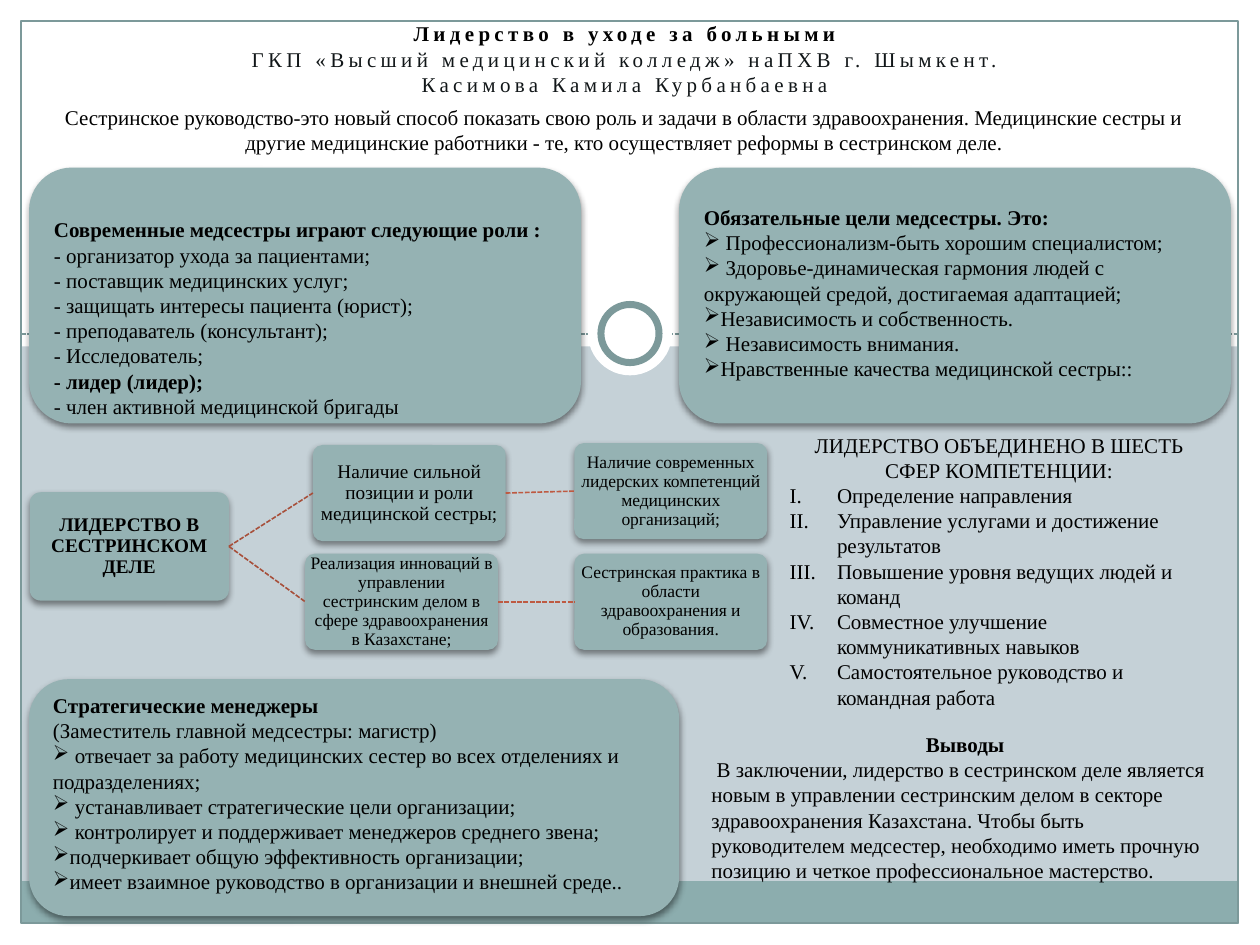
from lxml import etree
from pptx import Presentation
from pptx.dml.color import RGBColor
from pptx.enum.dml import MSO_LINE
from pptx.enum.shapes import MSO_CONNECTOR, MSO_SHAPE
from pptx.enum.text import MSO_ANCHOR, PP_ALIGN
from pptx.oxml.ns import qn
from pptx.util import Pt

RECT, ROUND, OVAL = MSO_SHAPE.RECTANGLE, MSO_SHAPE.ROUNDED_RECTANGLE, MSO_SHAPE.OVAL
STRAIGHT, DASH = MSO_CONNECTOR.STRAIGHT, MSO_LINE.SQUARE_DOT
TOP, MIDDLE = MSO_ANCHOR.TOP, MSO_ANCHOR.MIDDLE
LEFT, CENTER = PP_ALIGN.LEFT, PP_ALIGN.CENTER
FONT = "Times New Roman"
COLORS = {"back": "C5D1D7", "white": "FFFFFF", "band": "8CADAE", "frame": "7C999A",
          "card": "95B2B3", "text": "000000", "subtitle": "111618",
          "branch": "A74F3A", "link": "BE5A42"}
C = {name: RGBColor.from_string(value) for name, value in COLORS.items()}

prs = Presentation()
prs.slide_width, prs.slide_height = Pt(720), Pt(540)
s = prs.slides.add_slide(prs.slide_layouts[6])
s.background.fill.solid()
s.background.fill.fore_color.rgb = C["back"]


def add_shape(kind, box, fill=None, line=None, width=0.75, shadow=False):
    sp = s.shapes.add_shape(kind, *[Pt(v) for v in box])
    if fill:
        sp.fill.solid()
        sp.fill.fore_color.rgb = C[fill]
    else:
        sp.fill.background()
    if line:
        sp.line.color.rgb = C[line]
        sp.line.width = Pt(width)
    else:
        sp.line.fill.background()
    sp.shadow.inherit = False
    if shadow:
        effects = sp._element.spPr.find(qn("a:effectLst"))
        outer = etree.SubElement(effects, qn("a:outerShdw"), blurRad=str(Pt(4)),
                                 dist=str(Pt(2)), dir="5400000", rotWithShape="0")
        color = etree.SubElement(outer, qn("a:srgbClr"), val=COLORS["text"])
        etree.SubElement(color, qn("a:alpha"), val="45000")
    return sp


def write(sp, paragraphs, size=12, anchor=MIDDLE, margins=(7.2, 3.6, 7.2, 3.6), spacing=None):
    """Each paragraph is (text, marks): b bold, c centred, > arrow bullet, # roman number."""
    tf = sp.text_frame
    tf.word_wrap = True
    tf.vertical_anchor = anchor
    tf.margin_left, tf.margin_top, tf.margin_right, tf.margin_bottom = [Pt(m) for m in margins]
    for i, (text, marks) in enumerate(paragraphs):
        p = tf.add_paragraph() if i else tf.paragraphs[0]
        p.text = text
        p.alignment = CENTER if "c" in marks else LEFT
        if spacing:
            p.line_spacing = spacing
        font = p.runs[0].font
        font.name, font.size, font.bold = FONT, Pt(size), "b" in marks
        font.color.rgb = C["text"]
        pPr = p._p.get_or_add_pPr()
        if ">" in marks:
            etree.SubElement(pPr, qn("a:buFont"), typeface="Wingdings")
            etree.SubElement(pPr, qn("a:buChar"), char="Ø")
        if "#" in marks:
            pPr.set("marL", str(Pt(27)))
            pPr.set("indent", str(Pt(-27)))
            etree.SubElement(pPr, qn("a:buFont"), typeface="+mj-lt")
            etree.SubElement(pPr, qn("a:buAutoNum"), type="romanUcPeriod")


# White margins, bottom band, divider, frame and ring
for box in [(0, 528, 720, 12), (708, 0, 12, 540), (0, 0, 12, 540), (0, 0, 720, 198)]:
    add_shape(RECT, box, "white")
add_shape(RECT, (12, 503.5, 695.5, 24.5), "band")
divider = s.shapes.add_connector(STRAIGHT, Pt(12), Pt(190.8), Pt(708), Pt(190.8))
connectors = [(divider, "frame")]
add_shape(RECT, (12, 12, 695.5, 515.5), line="frame")
add_shape(OVAL, (336, 166.5, 48, 48), "white")
add_shape(OVAL, (343.4, 174, 33.2, 33.2), "white", "frame", 4)

# Text boxes: title, introduction, conclusions, competences
title_margins = (7.2, 12, 7.2, 0)
plain = (7.2, 3.6, 7.2, 3.6)
text_boxes = [
    ((28, 0, 658, 62), TOP, title_margins, [
        ("Лидерство в уходе за больными", "bc"),
        ("ГКП «Высший медицинский колледж» наПХВ г. Шымкент.", "c"),
        ("Касимова Камила Курбанбаевна", "c")]),
    ((16.5, 56.2, 680.5, 36), TOP, plain, [
        ("Сестринское руководство-это новый способ показать свою роль и задачи в области "
         "здравоохранения. Медицинские сестры и другие медицинские работники - те, кто "
         "осуществляет реформы в сестринском деле.", "c")]),
    ((399.5, 414, 304, 94.3), MIDDLE, plain, [
        ("Выводы", "bc"),
        (" В заключении, лидерство в сестринском деле является новым в управлении "
         "сестринским делом в секторе здравоохранения Казахстана. Чтобы быть руководителем "
         "медсестер, необходимо иметь прочную позицию и четкое профессиональное "
         "мастерство.", "")]),
    ((444.2, 242.6, 253.5, 167), MIDDLE, plain, [
        ("ЛИДЕРСТВО ОБЪЕДИНЕНО В ШЕСТЬ СФЕР КОМПЕТЕНЦИИ:", "c"),
        ("Определение направления", "#"),
        ("Управление услугами и достижение результатов", "#"),
        ("Повышение уровня ведущих людей и команд", "#"),
        ("Совместное улучшение коммуникативных навыков", "#"),
        ("Самостоятельное руководство и командная работа", "#")]),
]
boxes = []
for box, anchor, margins, paragraphs in text_boxes:
    tb = s.shapes.add_textbox(*[Pt(v) for v in box])
    write(tb, paragraphs, anchor=anchor, margins=margins)
    boxes.append(tb)
for i, p in enumerate(boxes[0].text_frame.paragraphs):
    for r in p.runs:
        r._r.get_or_add_rPr().set("spc", "250")
        r.font.color.rgb = C["subtitle" if i else "text"]

# Large cards: box, top margin, paragraphs
cards = [
    ((16.6, 95.8, 315.4, 146.2), 21, [
        ("Современные медсестры играют следующие роли :", "b"),
        ("- организатор ухода за пациентами;", ""),
        ("- поставщик медицинских услуг;", ""),
        ("- защищать интересы пациента (юрист);", ""),
        ("- преподаватель (консультант);", ""),
        ("- Исследователь;", ""),
        ("- лидер (лидер);", "b"),
        ("- член активной медицинской бригады", "")]),
    ((388, 95.8, 315.4, 146.2), 14, [
        ("Обязательные цели медсестры. Это:", "b"),
        (" Профессионализм-быть хорошим специалистом;", ">"),
        (" Здоровье-динамическая гармония людей с окружающей средой, "
         "достигаемая адаптацией;", ">"),
        ("Независимость и собственность. ", ">"),
        (" Независимость внимания.", ">"),
        ("Нравственные качества медицинской сестры::", ">")]),
    ((16.6, 388.1, 371.5, 135.4), 1, [
        ("Стратегические менеджеры", "b"),
        ("(Заместитель главной медсестры: магистр)", ""),
        (" отвечает за работу медицинских сестер во всех отделениях и подразделениях;", ">"),
        (" устанавливает стратегические цели организации;", ">"),
        (" контролирует и поддерживает менеджеров среднего звена;", ">"),
        ("подчеркивает общую эффективность организации;", ">"),
        ("имеет взаимное руководство в организации и внешней среде..", ">")]),
]
for box, top, paragraphs in cards:
    card = add_shape(ROUND, box, "card", shadow=True)
    write(card, paragraphs, anchor=TOP, margins=(7.2, top, 7.2, 0))

# Leadership tree
W, H = 110.2, 54.9
tree = [
    ((17, 281.3, 113.8, 61.9), 11, "bc", "ЛИДЕРСТВО В СЕСТРИНСКОМ ДЕЛЕ"),
    ((178.8, 254.3, W, H), 11, "c", "Наличие сильной позиции и роли медицинской сестры;"),
    ((328.2, 253.2, W, H), 10, "c",
     "Наличие современных лидерских компетенций медицинских организаций;"),
    ((174.4, 316.4, W, H), 10, "c",
     "Реализация инноваций в управлении сестринским делом в сфере здравоохранения "
     "в Казахстане;"),
    ((328.2, 316.4, W, H), 10, "c",
     "Сестринская практика в области здравоохранения и образования."),
]
nodes = []
for box, size, marks, text in tree:
    node = add_shape(ROUND, box, "card", shadow=True)
    node.adjustments[0] = 0.1
    write(node, [(text, marks)], size, margins=(0.75,) * 4, spacing=0.9)
    nodes.append(node)
for start, end, color in [(0, 1, "branch"), (1, 2, "link"), (0, 3, "branch"), (3, 4, "link")]:
    line = s.shapes.add_connector(STRAIGHT, 0, 0, 0, 0)
    line.begin_connect(nodes[start], 3)
    line.end_connect(nodes[end], 1)
    connectors.append((line, color))

# Dashed line style
for line, color in connectors:
    line.line.color.rgb = C[color]
    line.line.width = Pt(0.9)
    line.line.dash_style = DASH
    etree.SubElement(line._element.spPr, qn("a:effectLst"))

prs.save("out.pptx")
